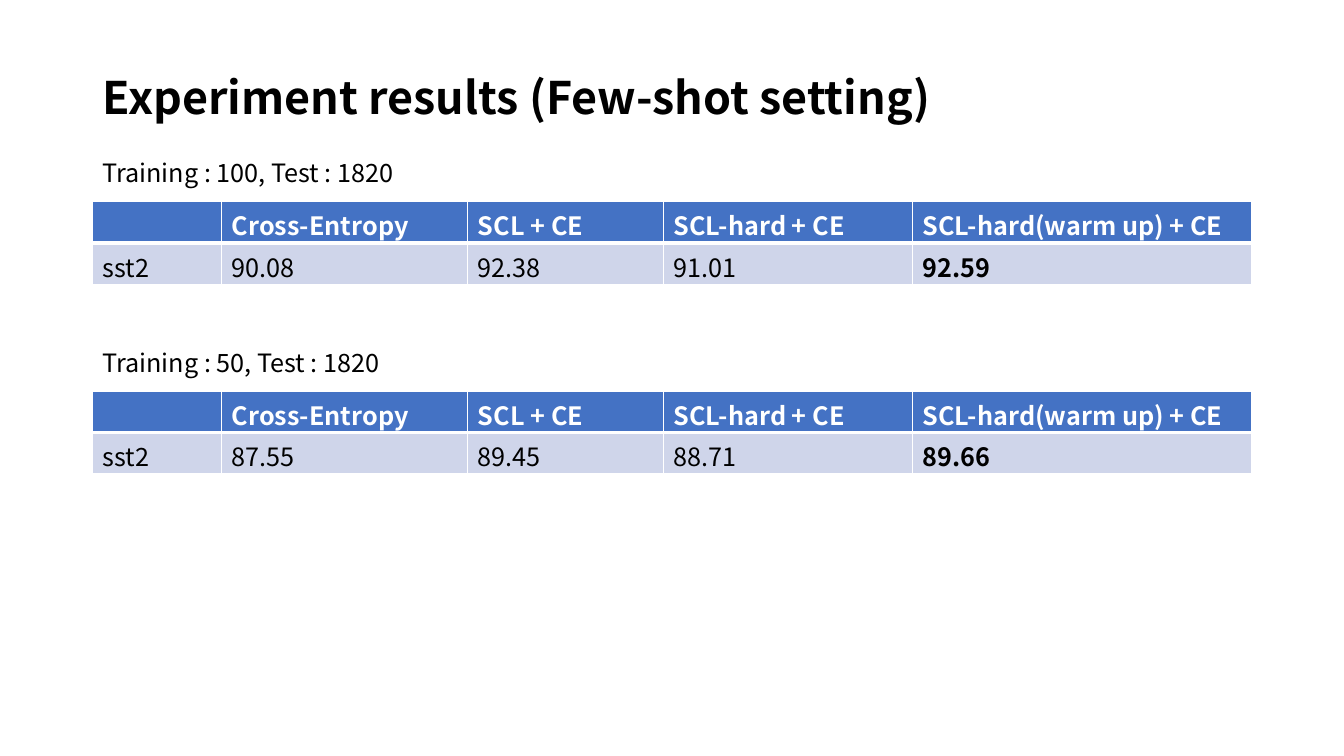
from lxml.etree import SubElement
from pptx import Presentation
from pptx.dml.color import RGBColor
from pptx.enum.text import MSO_ANCHOR as Anchor
from pptx.oxml.ns import qn
from pptx.util import Inches, Pt

FONT = "Noto Sans CJK KR"
BLACK = RGBColor(0x00, 0x00, 0x00)
WHITE = RGBColor(0xFF, 0xFF, 0xFF)
HEADER_BLUE = RGBColor(0x44, 0x72, 0xC4)
ROW_BLUE = RGBColor(0xCF, 0xD5, 0xEA)

LEFT, WIDTH = 0.92, 11.5
ROW_HEIGHT = 0.41
METHOD_WIDTHS = [1.28, 2.44, 1.94, 2.47, 3.36]
METHODS = ["", "Cross-Entropy", "SCL + CE", "SCL-hard + CE",
           "SCL-hard(warm up) + CE"]

# Caption, caption top, table top, cell bottom margin, scores
EXPERIMENTS = [
    ("Training : 100, Test : 1820", 1.51, 2, 0.05,
     ["sst2", "90.08", "92.38", "91.01", "92.59"]),
    ("Training : 50, Test : 1820", 3.4, 3.88, 0,
     ["sst2", "87.55", "89.45", "88.71", "89.66"]),
]


def write(paragraph, text, size=18, color=BLACK, bold=False):
    font = paragraph.font
    if text:
        run = paragraph.add_run()
        run.text = text
        font = run.font
    for key, value in {"name": FONT, "size": Pt(size), "bold": bold}.items():
        setattr(font, key, value)
    font.color.rgb = color


def add_text(slide, text, top, width, height, anchor=Anchor.TOP,
             spacing=1.0, **font_format):
    box = slide.shapes.add_textbox(
        Inches(LEFT), Inches(top), Inches(width), Inches(height))
    frame = box.text_frame
    for key, value in {"word_wrap": True, "vertical_anchor": anchor}.items():
        setattr(frame, key, value)
    paragraph = frame.paragraphs[0]
    paragraph.line_spacing = spacing
    write(paragraph, text, **font_format)


def set_borders(cell, top, bottom):
    """Draw white cell borders, in points; the sides are always 1 pt."""
    properties = cell._tc.get_or_add_tcPr()
    sides = {"a:lnL": 1, "a:lnR": 1, "a:lnT": top, "a:lnB": bottom}
    for index, (tag, points) in enumerate(sides.items()):
        line = SubElement(properties, qn(tag), w=str(Pt(points)))
        fill = SubElement(line, qn("a:solidFill"))
        SubElement(fill, qn("a:srgbClr"), val=str(WHITE))
        properties.insert(index, line)  # borders come before the fill


def add_results(slide, top, bottom_margin, scores):
    rows = [METHODS, scores]
    table = slide.shapes.add_table(
        len(rows), len(METHODS), Inches(LEFT), Inches(top),
        Inches(WIDTH), Inches(ROW_HEIGHT * len(rows))).table
    for column, width in zip(table.columns, METHOD_WIDTHS):
        column.width = Inches(width)
    for row_index, texts in enumerate(rows):
        is_header = row_index == 0
        table.rows[row_index].height = Inches(ROW_HEIGHT)
        for column_index, text in enumerate(texts):
            cell = table.cell(row_index, column_index)
            is_best = column_index == len(METHODS) - 1
            cell.margin_bottom = Inches(bottom_margin)
            cell.fill.solid()
            cell.fill.fore_color.rgb = HEADER_BLUE if is_header else ROW_BLUE
            write(cell.text_frame.paragraphs[0], text,
                  color=WHITE if is_header else BLACK,
                  bold=is_header or is_best)
            set_borders(cell, top=1 if is_header else 3,
                        bottom=3 if is_header else 1)


def main():
    deck = Presentation()
    deck.slide_width, deck.slide_height = Inches(13.33), Inches(7.5)
    slide = deck.slides.add_slide(deck.slide_layouts[6])

    # Title
    add_text(slide, "Experiment results (Few-shot setting)", 0.27, WIDTH, 1.45,
             anchor=Anchor.MIDDLE, spacing=0.9, size=32, bold=True)

    # Captioned result tables
    for caption, caption_top, table_top, bottom_margin, scores in EXPERIMENTS:
        add_results(slide, table_top, bottom_margin, scores)
        add_text(slide, caption, caption_top, 8.34, 0.4)

    deck.save("out.pptx")


main()
